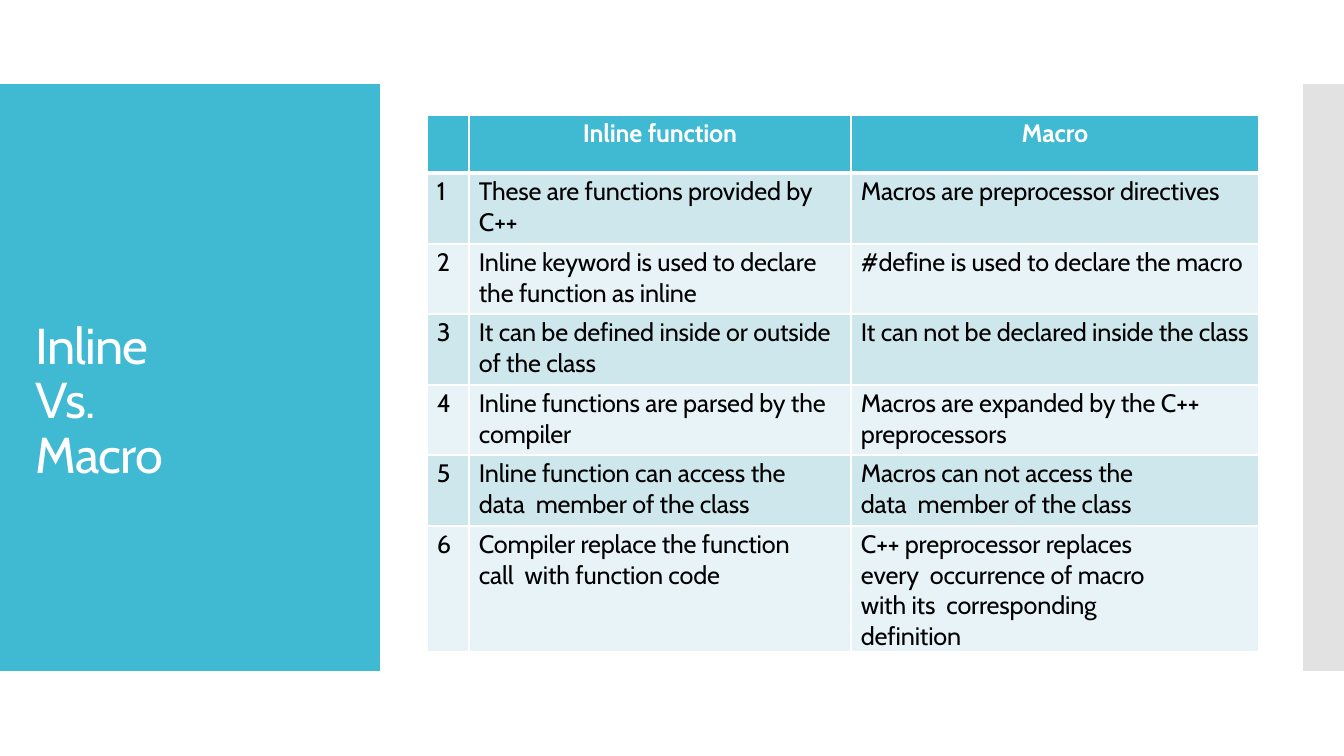
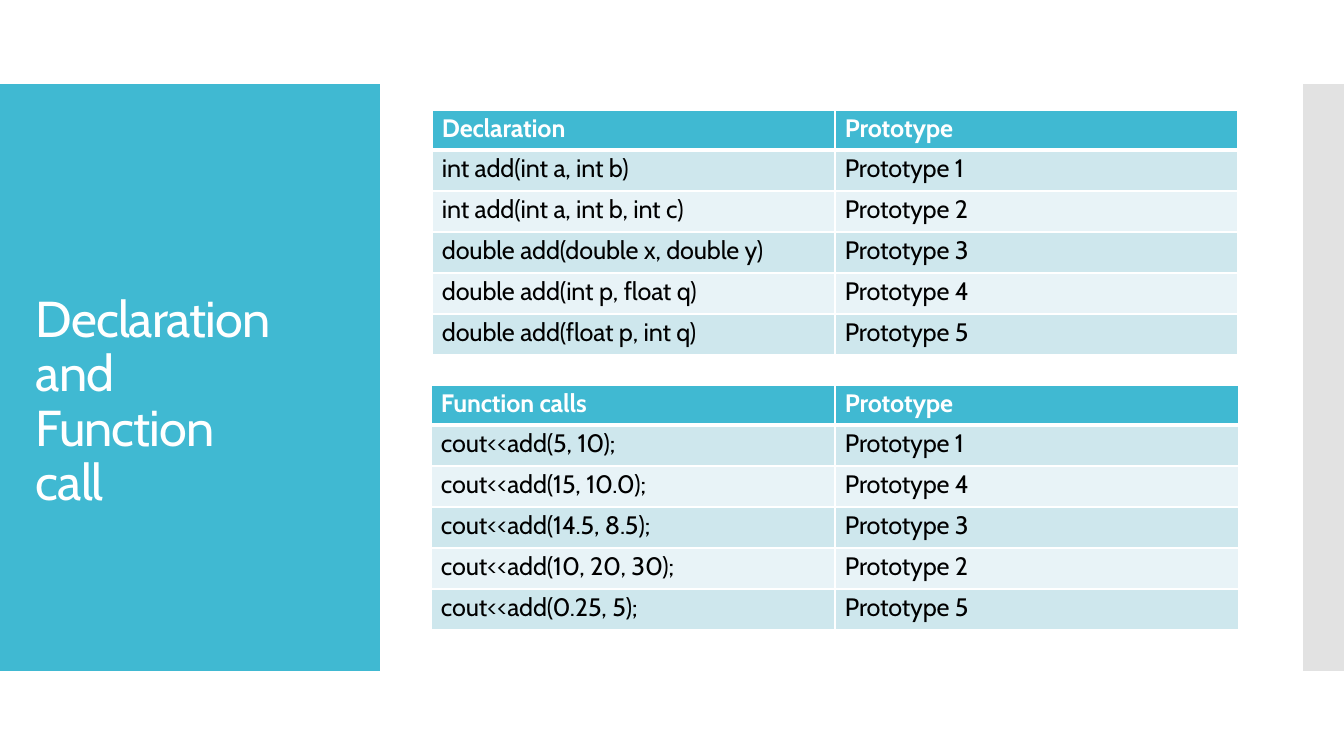
from dataclasses import dataclass

from lxml.etree import SubElement
from pptx import Presentation
from pptx.dml.color import RGBColor
from pptx.enum.shapes import MSO_SHAPE
from pptx.enum.text import MSO_ANCHOR, MSO_AUTO_SIZE, PP_ALIGN
from pptx.oxml.ns import qn
from pptx.util import Emu, Pt

PX = 914400 / 100.8


@dataclass(frozen=True)
class Theme:
    """Colours, font and type sizes shared by the slides."""
    font: str = "Cabin"
    accent: str = "40B9D2"
    edge: str = "C7C7C7"
    band_dark: str = "CEE7ED"
    band_light: str = "E8F3F7"
    white: str = "FFFFFF"
    black: str = "000000"
    title_size: float = 36
    title_leading: float = 38.9
    title_before: float = 5.9
    cell_size: float = 18
    cell_before: float = 2.5
    title_spacing: int = -70
    cell_spacing: int = -10
    thin: float = 1
    thick: float = 3


THEME = Theme()

INLINE_VS_MACRO = [
    ("", "Inline function", "Macro"),
    ("1", "These are functions provided by C++", "Macros are preprocessor directives"),
    ("2", "Inline keyword is used to declare the function as inline",
     "#define is used to declare the macro"),
    ("3", "It can be defined inside or outside of the class",
     "It can not be declared inside the class"),
    ("4", "Inline functions are parsed by the compiler",
     "Macros are expanded by the C++ preprocessors"),
    ("5", "Inline function can access the data  member of the class",
     "Macros can not access the data  member of the class"),
    ("6", "Compiler replace the function call  with function code",
     "C++ preprocessor replaces every  occurrence of macro with its  "
     "corresponding definition"),
]
DECLARATIONS = [
    ("Declaration", "Prototype"),
    ("int add(int a, int b)", "Prototype 1"),
    ("int add(int a, int b, int c)", "Prototype 2"),
    ("double add(double x, double y)", "Prototype 3"),
    ("double add(int p, float q)", "Prototype 4"),
    ("double add(float p, int q)", "Prototype 5"),
]
CALLS = [
    ("Function calls", "Prototype"),
    ("cout<<add(5, 10);", "Prototype 1"),
    ("cout<<add(15, 10.0);", "Prototype 4"),
    ("cout<<add(14.5, 8.5);", "Prototype 3"),
    ("cout<<add(10, 20, 30);", "Prototype 2"),
    ("cout<<add(0.25, 5);", "Prototype 5"),
]


def px(n):
    """Turn pixels into EMU."""
    return Emu(round(n * PX))


def rgb(value):
    """Make a colour from its hex string."""
    return RGBColor.from_string(value)


def style_runs(p, size, color, spacing, bold=False):
    """Give every run of a paragraph its font, colour and letter spacing."""
    for r in p.runs:
        r.font.name = THEME.font
        r.font.size = Pt(size)
        r.font.bold = bold
        r.font.color.rgb = rgb(color)
        r._r.get_or_add_rPr().set("spc", str(spacing))


def add_band(slide, layout, left, width, color, alpha=100):
    """Draw a side band and place it on the layout, behind the title."""
    sp = slide.shapes.add_shape(MSO_SHAPE.RECTANGLE, px(left), px(84), px(width), px(587))
    sp.shadow.inherit = False
    sp.line.fill.background()
    sp.fill.solid()
    sp.fill.fore_color.rgb = rgb(color)
    if alpha < 100:
        clr = sp._element.spPr.find(qn("a:solidFill")).find(qn("a:srgbClr"))
        SubElement(clr, qn("a:alpha")).set("val", str(alpha * 1000))
    layout.shapes._spTree.insert(2, sp._element)


def set_title(slide, text, top, width, height):
    """Place and format the title placeholder."""
    sp = slide.shapes.title
    sp.left, sp.top, sp.width, sp.height = px(36), px(top), px(width), px(height)
    tf = sp.text_frame
    tf.text = text
    tf.word_wrap = True
    tf.auto_size = MSO_AUTO_SIZE.NONE
    tf.vertical_anchor = MSO_ANCHOR.TOP
    tf.margin_left = tf.margin_right = tf.margin_bottom = 0
    tf.margin_top = px(8)
    p = tf.paragraphs[0]
    p.alignment = PP_ALIGN.LEFT
    p.line_spacing = Pt(THEME.title_leading)
    p.space_before = Pt(THEME.title_before)
    style_runs(p, THEME.title_size, THEME.white, THEME.title_spacing)


def set_borders(cell, row):
    """Draw white cell borders, with a thick rule under the header."""
    tc_pr = cell._tc.get_or_add_tcPr()
    thick_side = {0: "lnB", 1: "lnT"}.get(row)
    for side in ("lnL", "lnR", "lnT", "lnB"):
        width = THEME.thick if side == thick_side else THEME.thin
        ln = SubElement(tc_pr, qn(f"a:{side}"), w=str(Pt(width)))
        fill = SubElement(ln, qn("a:solidFill"))
        SubElement(fill, qn("a:srgbClr"), val=THEME.white)


def fill_cell(cell, text, row, right, centered):
    """Write and format one table cell."""
    header = row == 0
    set_borders(cell, row)
    cell.fill.solid()
    band = THEME.band_dark if row % 2 else THEME.band_light
    cell.fill.fore_color.rgb = rgb(THEME.accent if header else band)
    cell.margin_left = 0 if centered else px(10)
    cell.margin_right = 0 if centered else px(right)
    cell.margin_top, cell.margin_bottom = px(3), 0
    p = cell.text_frame.paragraphs[0]
    p.text = text
    p.alignment = PP_ALIGN.CENTER if centered else PP_ALIGN.LEFT
    p.space_before = Pt(THEME.cell_before)
    style_runs(p, THEME.cell_size, THEME.white if header else THEME.black,
               THEME.cell_spacing, header)


def add_grid(slide, data, left, top, widths, heights, rights=None, center_header=False):
    """Add a banded table; rights(row, column) gives right cell margins."""
    frame = slide.shapes.add_table(len(data), len(widths), px(left), px(top),
                                   px(sum(widths)), px(sum(heights)))
    table = frame.table
    for column, width in zip(table.columns, widths):
        column.width = px(width)
    for i, (row, height) in enumerate(zip(data, heights)):
        table.rows[i].height = px(height)
        for j, text in enumerate(row):
            right = rights(i, j) if rights else 0
            fill_cell(table.cell(i, j), text, i, right, center_header and i == 0)


def comparison_right(row, column):
    """Right margins of the comparison table; the last two rows wrap earlier."""
    return ((0, 35, 93) if row >= 5 else (0, 10, 2))[column]


def main():
    """Build both slides and save them."""
    prs = Presentation()
    prs.slide_width, prs.slide_height = px(1344), px(756)
    layout = prs.slide_layouts[5]
    for ph in list(layout.placeholders)[1:]:
        ph._element.getparent().remove(ph._element)

    comparison = prs.slides.add_slide(layout)
    add_band(comparison, layout, 0, 380, THEME.accent)
    add_band(comparison, layout, 1303, 41, THEME.edge, alpha=50)
    set_title(comparison, "Inline Vs. Macro", 312, 178, 118)
    add_grid(comparison, INLINE_VS_MACRO, 427, 115, (42, 382, 408),
             (58, 71, 70, 71, 70, 71, 124), comparison_right, center_header=True)

    overloads = prs.slides.add_slide(layout)
    set_title(overloads, "Declaration and Function call", 285, 255, 172)
    heights = [40] + [41] * 5
    add_grid(overloads, DECLARATIONS, 432, 110, (403, 403), heights)
    add_grid(overloads, CALLS, 431, 385, (404, 404), heights)

    prs.save("out.pptx")


main()
